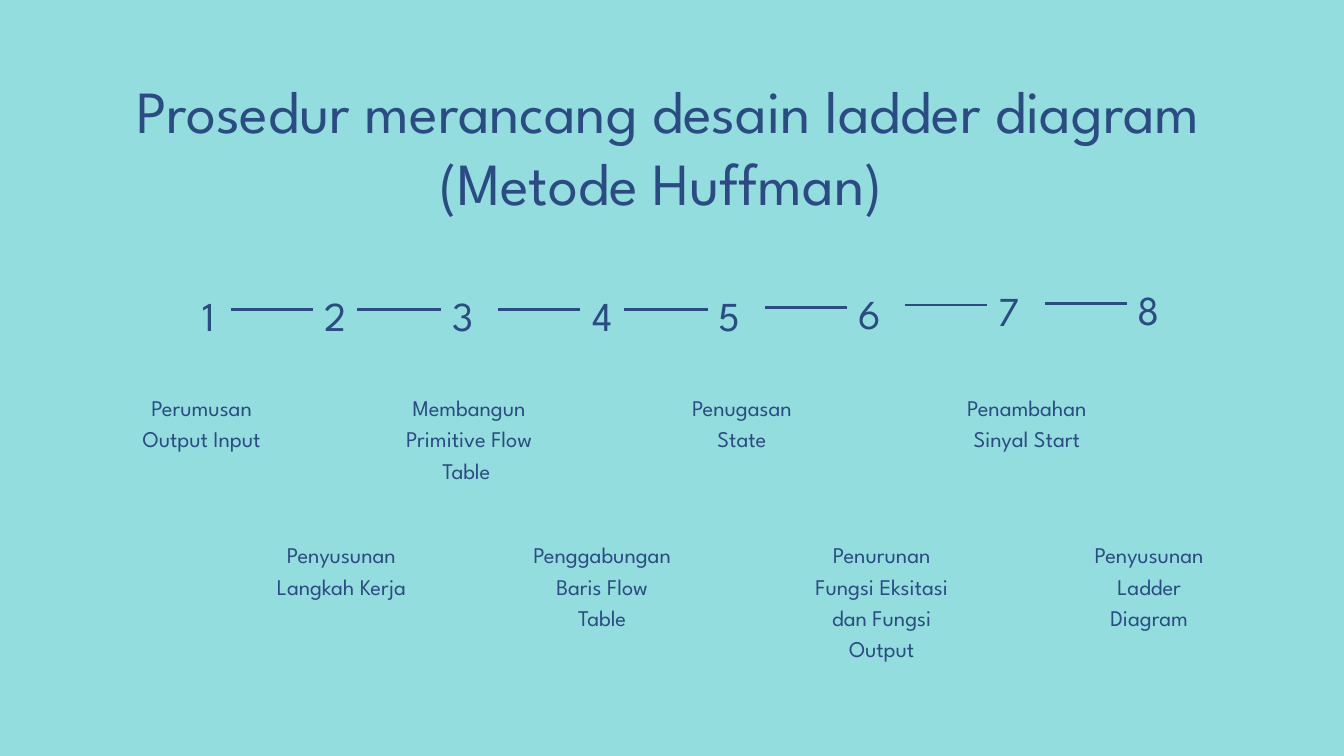
from dataclasses import dataclass

from lxml.etree import SubElement
from pptx import Presentation
from pptx.dml.color import RGBColor
from pptx.enum.shapes import MSO_CONNECTOR as Connector
from pptx.enum.text import MSO_ANCHOR as Anchor, MSO_AUTO_SIZE as AutoSize, PP_ALIGN as Align
from pptx.oxml.ns import qn
from pptx.util import Inches, Pt


@dataclass(frozen=True)
class TextStyle:
    size: float
    leading: float
    tracking: float = 0


@dataclass(frozen=True)
class Theme:
    font: str = "League Spartan"
    ink: RGBColor = RGBColor(0x2B, 0x4B, 0x82)
    paper: RGBColor = RGBColor(0x94, 0xDD, 0xDE)
    rule: float = 3
    title: TextStyle = TextStyle(64, 76.8)
    number: TextStyle = TextStyle(44, 61.6, 7.5)
    label: TextStyle = TextStyle(24, 33.6)


THEME = Theme()
TITLE = "Prosedur merancang desain ladder diagram (Metode Huffman) "
NUMBER_SIZE = (0.66, 0.82)
RULE_REACH = 1.22
JOIN_GAP = 1.25
LABEL_WIDTH = 2.08
LABEL_ROWS = (0, 2.19)

# number left, number top, label left, label height, label
STEPS = [
    (2.78, 4.2, 1.96, 1.85, "Perumusan Output Input"),
    (4.66, 4.2, 4.04, 1.85, "Penyusunan Langkah Kerja"),
    (6.56, 4.2, 5.94, 1.85, "Membangun Primitive Flow Table "),
    (8.63, 4.2, 7.92, 1.85, "Penggabungan Baris Flow Table"),
    (10.53, 4.2, 10, 1.39, "Penugasan State"),
    (12.61, 4.17, 12.08, 2.78, "Penurunan Fungsi Eksitasi dan Fungsi Output"),
    (14.69, 4.13, 14.24, 1.85, "Penambahan Sinyal Start"),
    (16.77, 4.11, 16.06, 1.85, "Penyusunan Ladder Diagram"),
]


def write(shape, text, style):
    frame = shape.text_frame
    frame.text = text
    frame.word_wrap = True
    frame.auto_size = AutoSize.NONE
    frame.vertical_anchor = Anchor.TOP
    frame.margin_left = frame.margin_top = frame.margin_right = frame.margin_bottom = 0
    para = frame.paragraphs[0]
    para.alignment = Align.CENTER
    para.line_spacing = Pt(style.leading)
    para.space_before = Pt(0)
    span = para.runs[0]
    span.font.name = THEME.font
    span.font.size = Pt(style.size)
    span.font.color.rgb = THEME.ink
    if style.tracking:
        span.font._element.set("spc", str(round(style.tracking * 100)))


def add_text(page, box, text, style):
    shape = page.shapes.add_textbox(*map(Inches, box))
    write(shape, text, style)
    return shape


def place_title(page, box):
    title = page.shapes.title
    title.left, title.top, title.width, title.height = map(Inches, box)
    write(title, TITLE, THEME.title)


def add_rule(page, before, after):
    middle = after.top + after.height // 2
    start = after.left - Inches(RULE_REACH)
    rule = page.shapes.add_connector(Connector.STRAIGHT, start, middle, after.left, middle)
    rule.line.color.rgb = THEME.ink
    rule.line.width = Pt(THEME.rule)
    SubElement(rule._element.spPr, qn("a:effectLst"))
    if after.left - before.left - before.width < Inches(JOIN_GAP):
        rule.begin_connect(before, 3)
    rule.end_connect(after, 1)


def place_timeline(page, box):
    left, top = box
    numbers = [
        add_text(page, (left + x, top + y, *NUMBER_SIZE), str(order), THEME.number)
        for order, (x, y, *_) in enumerate(STEPS, 1)
    ]
    for before, after in zip(numbers, numbers[1:]):
        add_rule(page, before, after)


def place_labels(page, box):
    left, top = box
    for index, (_, _, x, height, text) in enumerate(STEPS):
        row = LABEL_ROWS[index % 2]
        add_text(page, (left + x, top + row, LABEL_WIDTH, height), text, THEME.label)


def main():
    deck = Presentation()
    deck.slide_width, deck.slide_height = Inches(20), Inches(11.25)
    page = deck.slides.add_slide(deck.slide_layouts[5])
    page.background.fill.solid()
    page.background.fill.fore_color.rgb = THEME.paper
    place_title(page, (1.12, 1.1, 17.65, 2.15))
    place_timeline(page, (0, 0))
    place_labels(page, (0, 5.8))
    deck.save("out.pptx")


if __name__ == "__main__":
    main()
